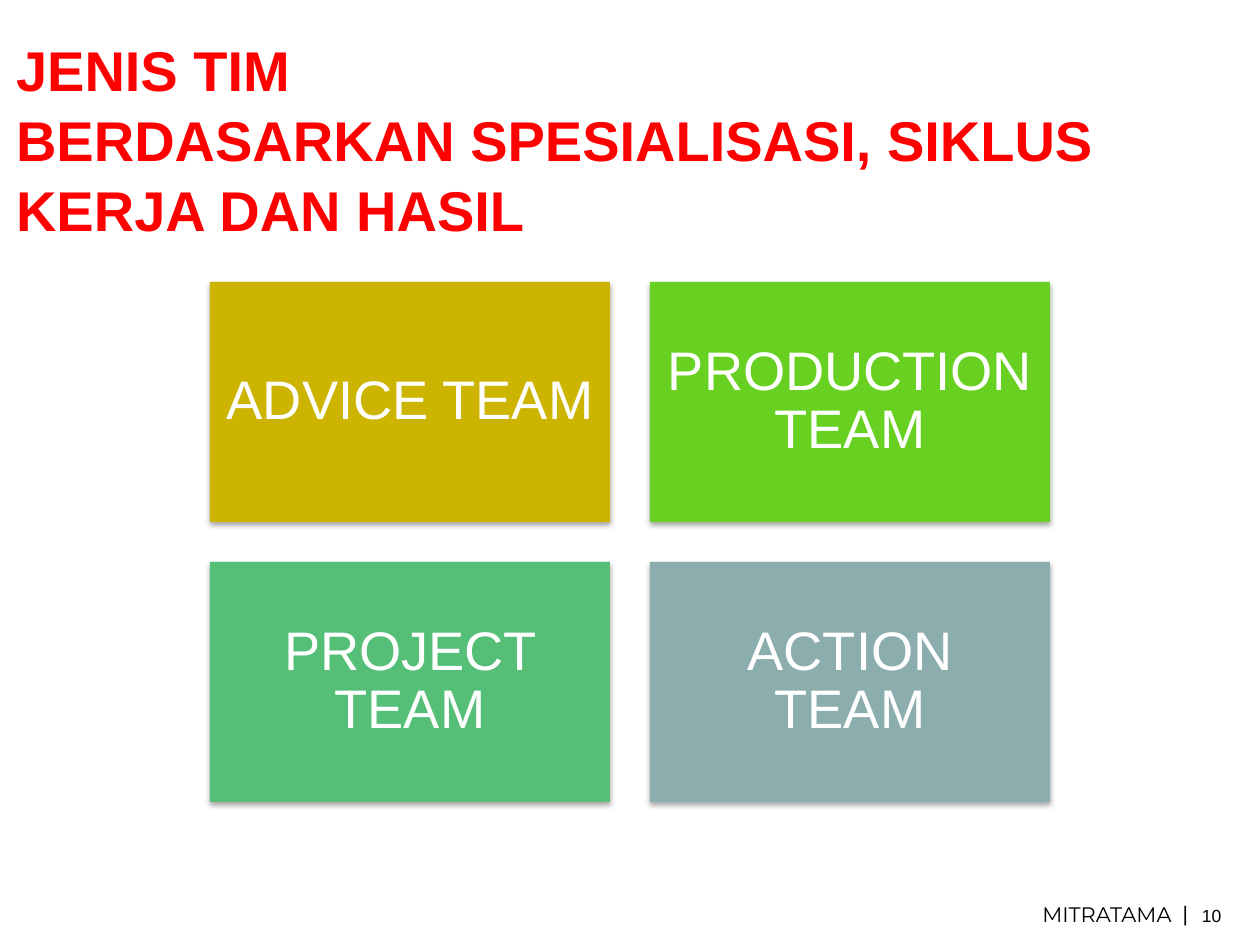
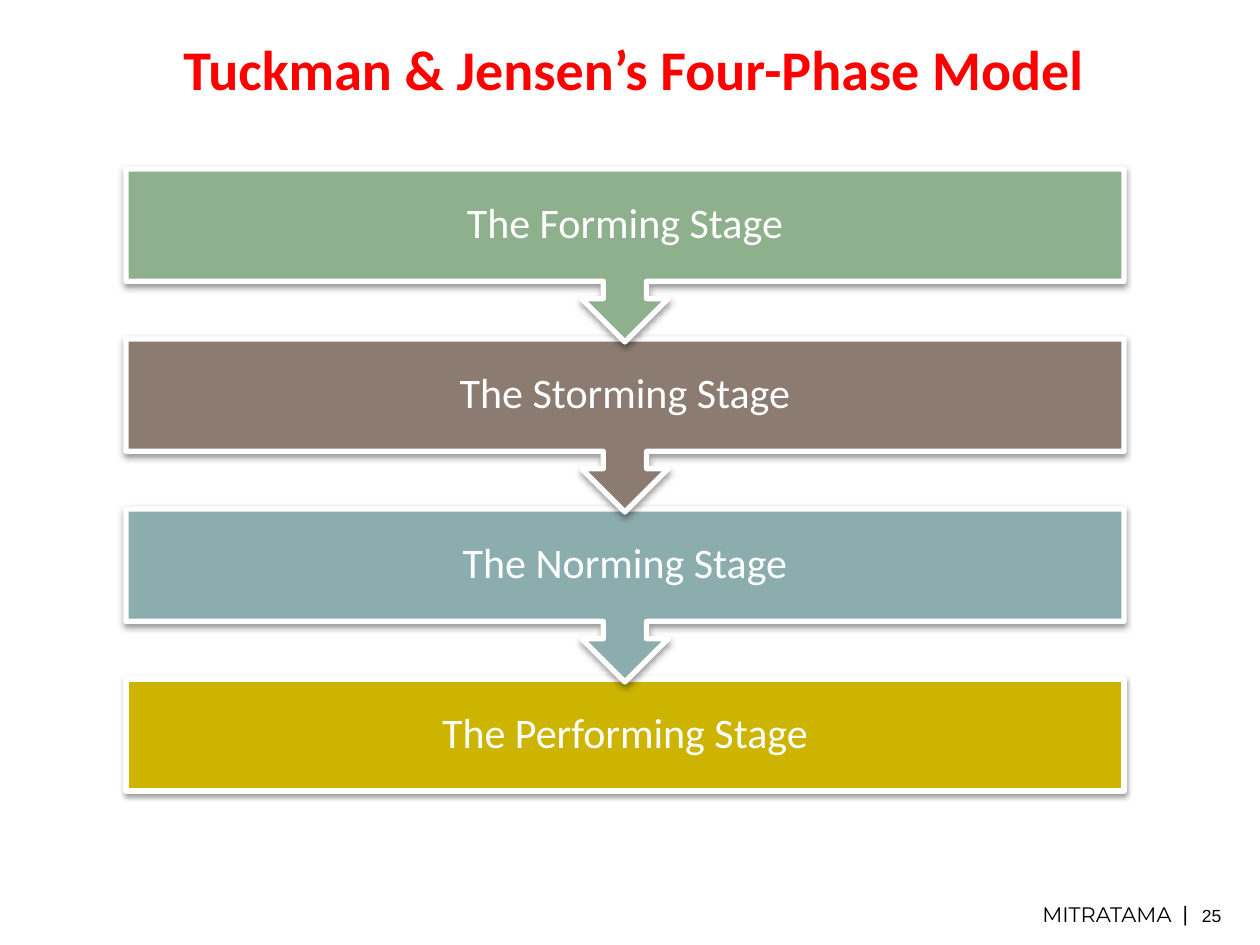
from lxml import etree
from pptx import Presentation
from pptx.dml.color import RGBColor
from pptx.enum.shapes import MSO_SHAPE
from pptx.enum.text import MSO_ANCHOR, MSO_AUTO_SIZE, PP_ALIGN
from pptx.oxml.ns import qn
from pptx.util import Inches, Pt

SCALE = Inches(1) / 126
RECT = MSO_SHAPE.RECTANGLE
CALLOUT = MSO_SHAPE.DOWN_ARROW_CALLOUT
TOP, MIDDLE = MSO_ANCHOR.TOP, MSO_ANCHOR.MIDDLE
LEFT, CENTER, RIGHT = PP_ALIGN.LEFT, PP_ALIGN.CENTER, PP_ALIGN.RIGHT
FIXED = MSO_AUTO_SIZE.NONE

BLACK = RGBColor(0x00, 0x00, 0x00)
WHITE = RGBColor(0xFF, 0xFF, 0xFF)
RED = RGBColor(0xFF, 0x00, 0x00)
GOLD = RGBColor(0xCC, 0xB4, 0x00)
LIME = RGBColor(0x67, 0xD0, 0x21)
GREEN = RGBColor(0x56, 0xBF, 0x77)
TEAL = RGBColor(0x8C, 0xAD, 0xAE)
BROWN = RGBColor(0x8C, 0x7B, 0x70)
SAGE = RGBColor(0x8F, 0xB0, 0x8C)

BRAND = "MITRATAMA"
TEAMS = [("ADVICE TEAM", GOLD), ("PRODUCTION TEAM", LIME),
         ("PROJECT TEAM", GREEN), ("ACTION TEAM", TEAL)]
STAGES = [("The Forming Stage", SAGE), ("The Storming Stage", BROWN),
          ("The Norming Stage", TEAL), ("The Performing Stage", GOLD)]


def px(*sizes):
    """Turn pixels into EMU."""
    return [round(size * SCALE) for size in sizes]


def write(shape, text, size=12, font="Arial", color=BLACK, bold=False,
          align=LEFT, anchor=TOP, inset=(0, 0), wrap=True, space=1.0):
    """Fill a shape with one formatted paragraph."""
    frame = shape.text_frame
    frame.auto_size = FIXED
    frame.word_wrap = wrap
    frame.vertical_anchor = anchor
    side, edge = px(*inset)
    frame.margin_left = frame.margin_right = side
    frame.margin_top = frame.margin_bottom = edge
    para = frame.paragraphs[0]
    para.text = text
    para.alignment = align
    para.line_spacing = space
    para.font.size = Pt(size)
    para.font.name = font
    para.font.bold = bold
    para.font.color.rgb = color


def label(slide, box, text, **style):
    """Add a text box."""
    write(slide.shapes.add_textbox(*px(*box)), text, **style)


def shade(shape, alpha, dist):
    """Give a shape a soft shadow straight below it."""
    shape.shadow.inherit = False
    effects = shape.element.spPr.find(qn("a:effectLst"))
    outer = etree.SubElement(effects, qn("a:outerShdw"), blurRad=str(Pt(3.1)),
                             dist=str(Pt(dist)), dir="5400000", rotWithShape="0")
    tint = etree.SubElement(outer, qn("a:srgbClr"), val=str(BLACK))
    etree.SubElement(tint, qn("a:alpha"), val=str(alpha * 1000))


def block(slide, kind, box, text, fill, edge=0, alpha=35, dist=1.8, **style):
    """Add a filled, shadowed shape with white centred text."""
    shape = slide.shapes.add_shape(kind, *px(*box))
    shape.fill.solid()
    shape.fill.fore_color.rgb = fill
    if edge:
        shape.line.color.rgb = WHITE
        shape.line.width = Pt(edge)
    else:
        shape.line.fill.background()
    shade(shape, alpha, dist)
    write(shape, text, color=WHITE, align=CENTER, anchor=MIDDLE, space=0.9, **style)


def footer(slide, box, number):
    """Place the brand, the bar and the page number."""
    left, top, width, height = box
    label(slide, (left, top, 170, height), BRAND, font="Montserrat",
          align=CENTER, inset=(13, 6))
    label(slide, (left + 161, top + 4, 5, 26), "|", align=RIGHT,
          anchor=MIDDLE, wrap=False)
    label(slide, (left + 180, top + 9, width - 180, 21), number, size=10, wrap=False)


def page(deck, box, title, number, **style):
    """Add a slide with its title and footer."""
    slide = deck.slides.add_slide(deck.slide_layouts[5])
    head = slide.shapes.title
    head.left, head.top, head.width, head.height = px(*box)
    write(head, title, size=32, color=RED, bold=True, space=1.04, **style)
    footer(slide, (1022, 896, 208, 39), number)
    return slide


def grid(slide, box, gap=40):
    """Lay the teams out in two columns and two rows."""
    left, top, width, height = box
    wide, high = (width - gap) // 2, (height - gap) // 2
    for index, (name, fill) in enumerate(TEAMS):
        row, col = divmod(index, 2)
        spot = (left + col * (wide + gap), top + row * (high + gap), wide, high)
        block(slide, RECT, spot, name, fill, size=31, inset=(16, 16))


def chain(slide, box, body=112, step=170, tall=173):
    """Stack the stages from the last up, each pointing to the next."""
    left, top, width = box
    last = len(STAGES) - 1
    for index, (name, fill) in reversed(list(enumerate(STAGES))):
        kind, high = (RECT, body) if index == last else (CALLOUT, tall)
        block(slide, kind, (left, top + index * step, width, high), name, fill,
              edge=3, alpha=38, dist=1.6, size=24, font="Calibri", inset=(24, 24))


def main():
    """Build and save the deck."""
    deck = Presentation()
    deck.slide_width, deck.slide_height = Inches(10), Inches(7.5)
    teams = page(deck, (16, 33, 1212, 204),
                 "JENIS TIM\vBERDASARKAN SPESIALISASI, SIKLUS KERJA DAN HASIL", "10")
    grid(teams, (210, 282, 840, 520))
    stages = page(deck, (28, 32, 1212, 105), "Tuckman & Jensen’s Four-Phase Model",
                  "25", font="Calibri", align=CENTER)
    chain(stages, (126, 169, 998))
    deck.save("out.pptx")


if __name__ == "__main__":
    main()
